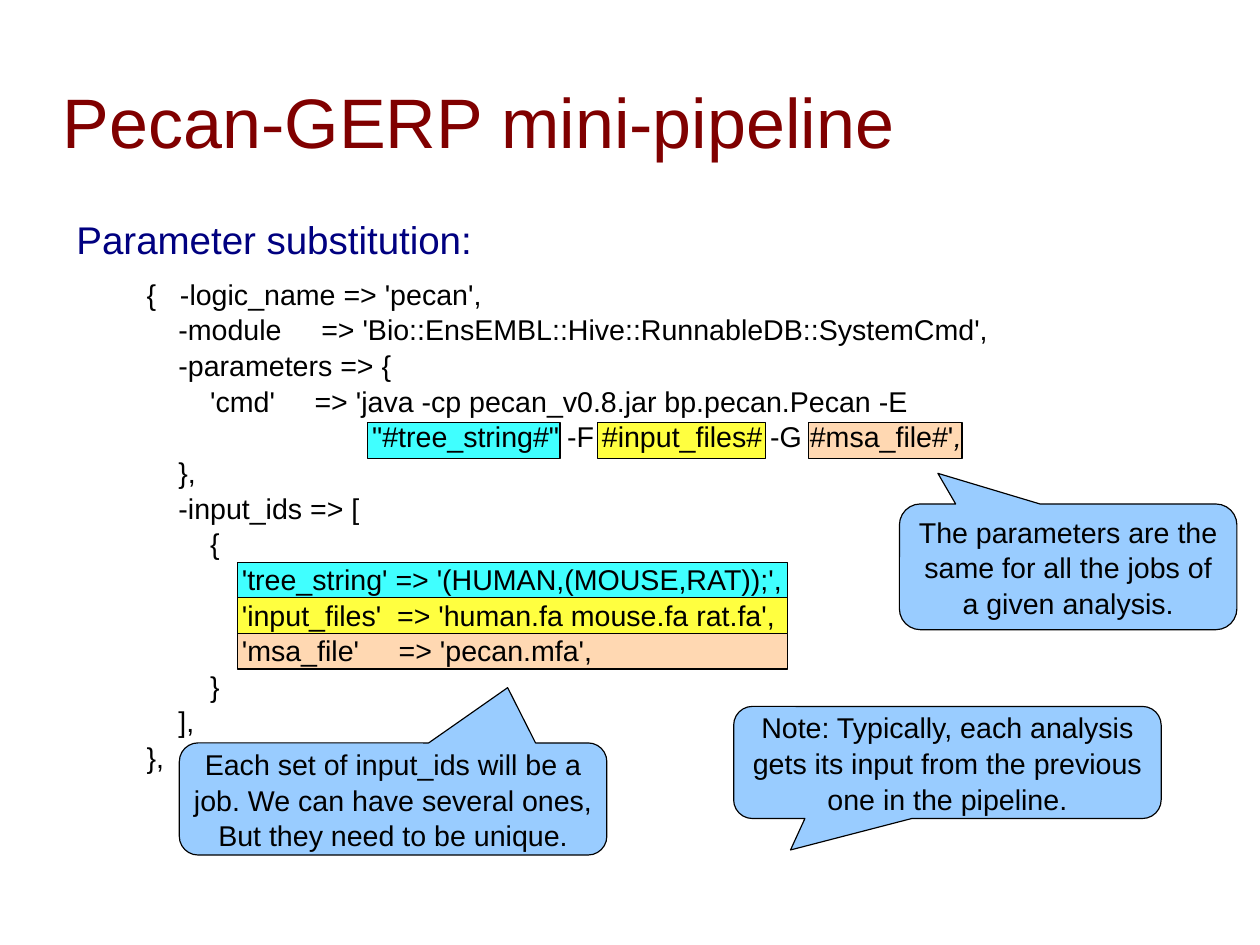
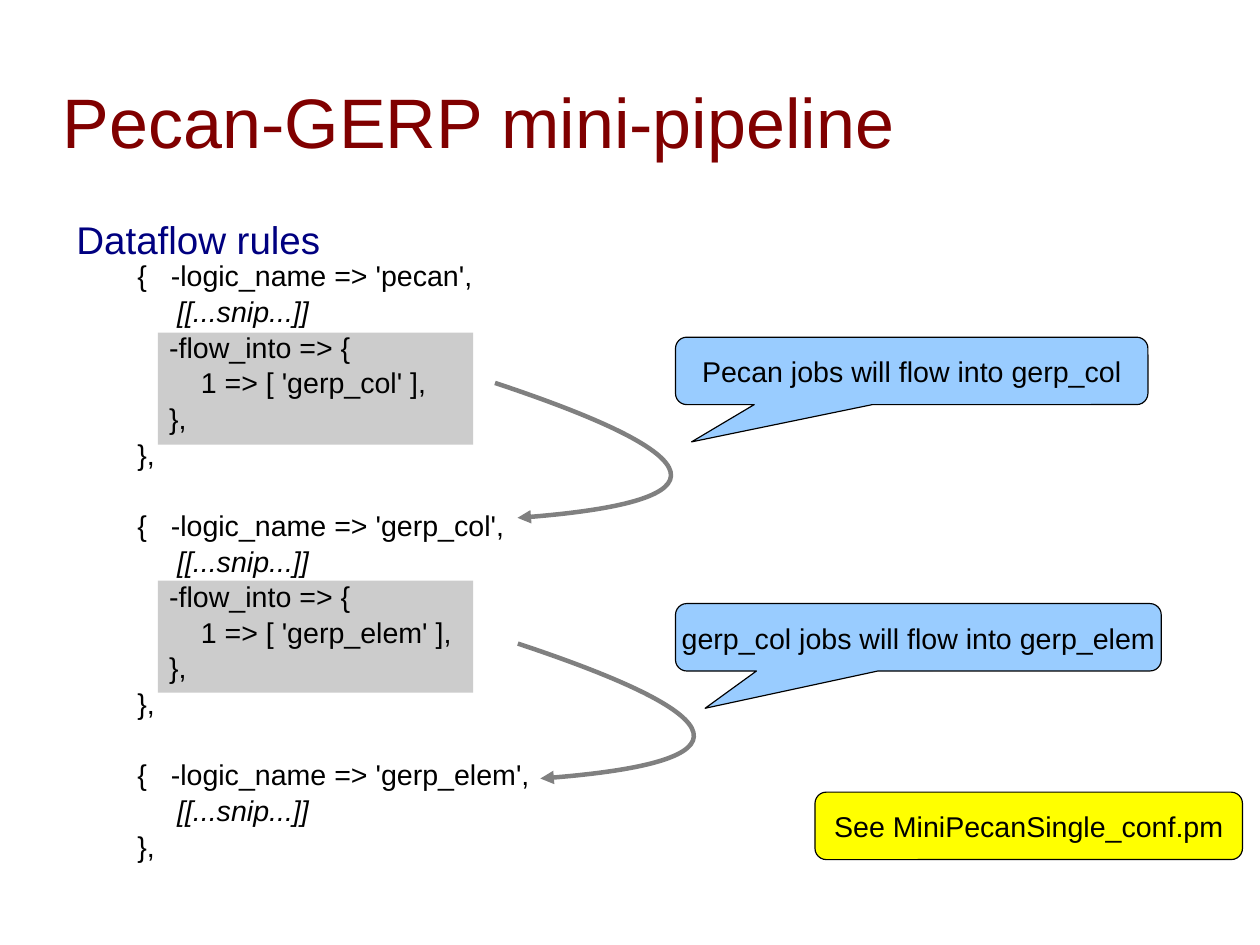
from lxml import etree
from pptx import Presentation
from pptx.dml.color import RGBColor
from pptx.enum.shapes import MSO_SHAPE
from pptx.enum.text import MSO_ANCHOR, PP_ALIGN
from pptx.oxml.ns import qn
from pptx.util import Pt

RECT = MSO_SHAPE.RECTANGLE
ROUND = MSO_SHAPE.ROUNDED_RECTANGLE
CALLOUT = MSO_SHAPE.ROUNDED_RECTANGULAR_CALLOUT
MIDDLE = MSO_ANCHOR.MIDDLE
CENTER = PP_ALIGN.CENTER

MAROON = RGBColor(0x80, 0x00, 0x00)
NAVY = RGBColor(0x00, 0x00, 0x80)
BLACK = RGBColor(0x00, 0x00, 0x00)
CYAN = RGBColor(0x00, 0xFF, 0xFF)
YELLOW = RGBColor(0xFF, 0xFF, 0x00)
PEACH = RGBColor(0xFF, 0xCC, 0x99)
SKY = RGBColor(0x99, 0xCC, 0xFF)
SILVER = RGBColor(0xCC, 0xCC, 0xCC)
GRAY = RGBColor(0x80, 0x80, 0x80)

PARAMETERS_CODE = """\
        {   -logic_name => 'pecan',
            -module     => 'Bio::EnsEMBL::Hive::RunnableDB::SystemCmd',
            -parameters => {
                'cmd'     => 'java -cp pecan_v0.8.jar bp.pecan.Pecan -E
\t "#tree_string#" -F #input_files# -G #msa_file#'
            },
            -input_ids => [
                {
                    'tree_string' => '(HUMAN,(MOUSE,RAT));',
                    'input_files'  => 'human.fa mouse.fa rat.fa',
                    'msa_file'     => 'pecan.mfa',
                }
            ],
        },"""

FLOW_CODE = """\
        {   -logic_name => '%s',
             [[...snip...]]
            -flow_into => {
                1 => [ '%s' ],
            },
        },"""

LAST_CODE = """\
        {   -logic_name => 'gerp_elem',
             [[...snip...]]
        },"""


class Deck:
    font = "Arial"
    size = 18
    pitch = 22.45

    def __init__(self):
        self.prs = Presentation()
        self.prs.slide_width = Pt(793.7)
        self.prs.slide_height = Pt(595.3)

    def slide(self, subtitle):
        self.s = self.prs.slides.add_slide(self.prs.slide_layouts[6])
        self.heading("Pecan-GERP mini-pipeline", 39.6, 26.5, 99.4, 44.1, MAROON, MIDDLE)
        self.heading(subtitle, 48.2, 136, 30, 24.3, NAVY)

    def style(self, p, size=size, color=BLACK):
        p.font.name = self.font
        p.font.size = Pt(size)
        p.font.color.rgb = color

    def heading(self, text, x, y, h, size, color, anchor=MSO_ANCHOR.TOP):
        tf = self.s.shapes.add_textbox(Pt(x), Pt(y), Pt(700), Pt(h)).text_frame
        tf.margin_left = tf.margin_right = tf.margin_top = tf.margin_bottom = 0
        tf.word_wrap = True
        tf.vertical_anchor = anchor
        tf.text = text
        self.style(tf.paragraphs[0], size, color)

    def code(self, x, y, h, blocks):
        tf = self.s.shapes.add_textbox(Pt(x), Pt(y), Pt(640), Pt(h)).text_frame
        tf.word_wrap = True
        tf.text = "\n".join(blocks)
        starts = set()
        count = 0
        for block in blocks:
            starts.add(count)
            count += len(block.split("\n"))
        for i, p in enumerate(tf.paragraphs):
            if p.text.startswith("\t"):
                tabs = etree.SubElement(p._p.get_or_add_pPr(), qn("a:tabLst"))
                etree.SubElement(tabs, qn("a:tab"), pos=str(Pt(177)), algn="l")
            p.line_spacing = Pt(self.pitch)
            if i and i in starts:
                p.space_before = Pt(self.pitch)
            self.style(p)
            if "snip" in p.text:
                p.font.italic = True
        return tf.paragraphs

    def shape(self, kind, x, y, w, h, color, outline=True):
        sp = self.s.shapes.add_shape(kind, Pt(x), Pt(y), Pt(w), Pt(h))
        sp.shadow.inherit = False
        sp.fill.solid()
        sp.fill.fore_color.rgb = color
        if outline:
            sp.line.color.rgb = BLACK
            sp.line.width = Pt(0)
        else:
            sp.line.fill.background()
        return sp

    def highlight(self, x, y, w, color):
        sp = self.shape(RECT, x, y, w, self.pitch, color)
        clr = next(sp._element.spPr.iter(qn("a:srgbClr")))
        etree.SubElement(clr, qn("a:alpha"), val="75000")

    def label(self, x, y, w, h, text, tip=None, color=SKY):
        sp = self.shape(CALLOUT if tip else ROUND, x, y, w, h, color)
        for i, value in enumerate((*(tip or ()), 0.167)):
            sp.adjustments[i] = value
        tf = sp.text_frame
        tf.word_wrap = False
        tf.vertical_anchor = MIDDLE
        tf.text = text
        for p in tf.paragraphs:
            p.alignment = CENTER
            p.line_spacing = Pt(self.pitch)
            self.style(p)

    def flow_arrow(self, x, y):
        builder = self.s.shapes.build_freeform(Pt(x), Pt(y))
        bend = (Pt(x + 212.4), Pt(y + 70.6))
        end = (Pt(x + 14.2), Pt(y + 85))
        builder.add_line_segments([bend, end], close=False)
        sp = builder.convert_to_shape()
        path = next(sp._element.iter(qn("a:path")))
        quad = etree.SubElement(path, qn("a:quadBezTo"))
        for segment in path.findall(qn("a:lnTo")):
            quad.append(segment[0])
            path.remove(segment)
        sp.width = Pt(98.6)
        path.set("w", str(sp.width))
        sp.shadow.inherit = False
        sp.fill.background()
        sp.line.color.rgb = GRAY
        sp.line.width = Pt(2.83)
        ln = sp._element.spPr.find(qn("a:ln"))
        etree.SubElement(ln, qn("a:tailEnd"), type="triangle")


def parameter_slide(d):
    d.slide("Parameter substitution:")
    for i, (color, x, w) in enumerate([(CYAN, 231.6, 121.2), (YELLOW, 376.6, 105.5),
                                       (PEACH, 509.4, 96.6)]):
        d.highlight(x, 266.2, w, color)
        d.highlight(149.8, 354.2 + i * d.pitch, 346.4, color)
    paragraphs = d.code(45.4, 169.9, 322, [PARAMETERS_CODE])
    r = paragraphs[4].add_run()
    r.text = ","
    r.font.italic = True
    d.label(113, 468, 269.3, 70.6, "Each set of input_ids will be a\n"
            "job. We can have several ones,\nBut they need to be unique.", (0.268, -0.993))
    d.label(566.6, 317.5, 212.6, 79.2, "The parameters are the\n"
            "same for all the jobs of\na given analysis.", (-0.386, -0.744))
    d.label(462.2, 445, 269.3, 70.6, "Note: Typically, each analysis\n"
            "gets its input from the previous\none in the pipeline.", (-0.367, 0.781))


def dataflow_slide(d):
    d.slide("Dataflow rules")
    for y in (209.5, 365.8):
        d.shape(RECT, 99.4, y, 198.7, 70.6, SILVER, outline=False)
    d.code(39.6, 158.4, 391, [FLOW_CODE % ("pecan", "gerp_col"),
                              FLOW_CODE % ("gerp_col", "gerp_elem"), LAST_CODE])
    d.flow_arrow(311.8, 241.2)
    d.flow_arrow(326.2, 405.4)
    d.label(425.5, 212.4, 297.6, 42.5, "Pecan jobs will flow into gerp_col", (-0.466, 1.053))
    d.label(425.5, 380.2, 306, 42.5, "gerp_col jobs will flow into gerp_elem", (-0.439, 1.053))
    d.label(513.4, 499, 269.3, 42.5, "See MiniPecanSingle_conf.pm", color=YELLOW)


def main():
    d = Deck()
    parameter_slide(d)
    dataflow_slide(d)
    d.prs.save("out.pptx")


if __name__ == "__main__":
    main()
